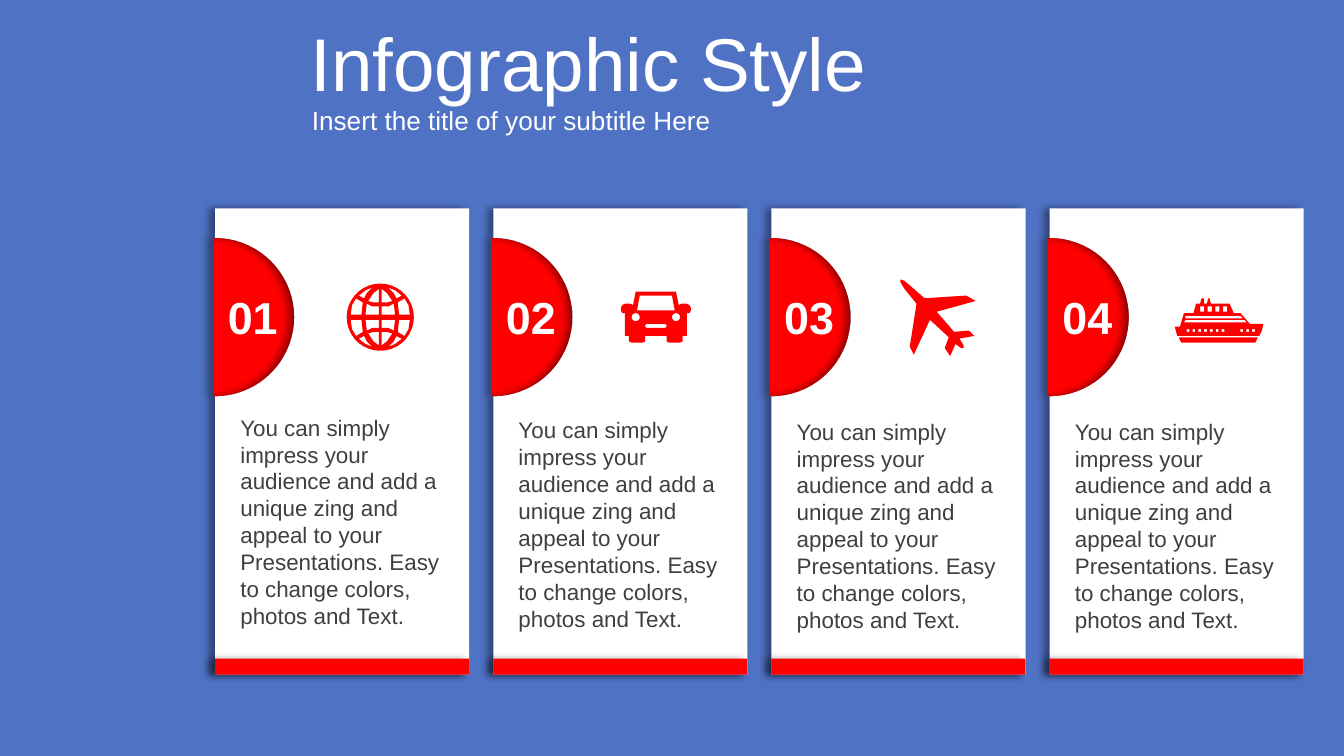
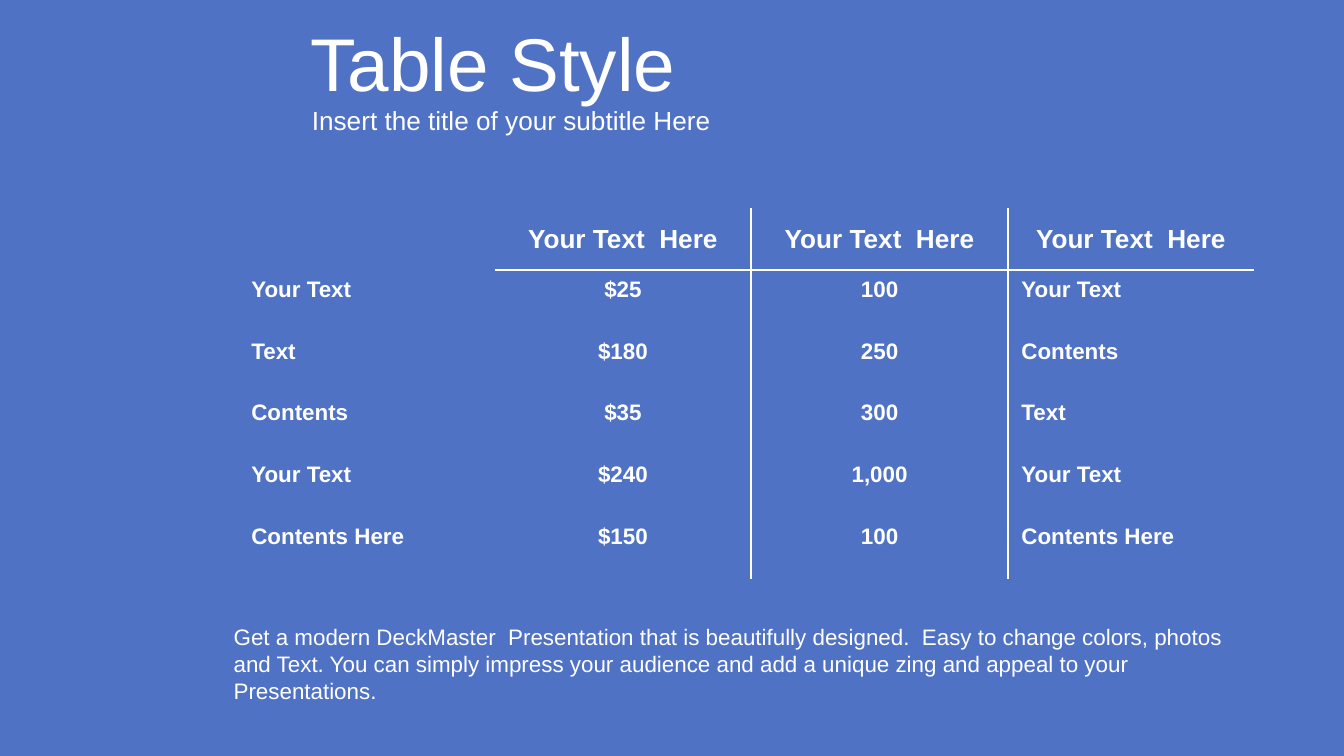
"""Builds two slides: four numbered travel cards and a plain ruled table."""
import math

import pptx
import pptx.dml.color
import pptx.enum.shapes
import pptx.enum.text
import pptx.oxml
import pptx.oxml.ns
import pptx.util

Inches = pptx.util.Inches
Pt = pptx.util.Pt
Align = pptx.enum.text.PP_ALIGN
Anchor = pptx.enum.text.MSO_ANCHOR
Preset = pptx.enum.shapes.MSO_SHAPE

COLORS = {"blue": "5072C4", "red": "FF0000", "white": "FFFFFF", "gray": "3F3F3F", "black": "000000"}
FONT = "Arial"
NO_TABLE_STYLE = "{2D5ABB26-0587-4C30-8999-92F81FD0307C}"
SUBTITLE = "Insert the title of your subtitle Here"
CARD_TEXT = ("You can simply impress your audience and add a unique zing and appeal to your "
             "Presentations. Easy to change colors, photos and Text.")
TABLE_NOTE = ("Get a modern DeckMaster  Presentation that is beautifully designed.  Easy to change "
              "colors, photos and Text. You can simply impress your audience and add a unique zing "
              "and appeal to your Presentations.")
TABLE_ROWS = [
    ["", "Your Text  Here", "Your Text  Here", "Your Text  Here"],
    ["Your Text", "$25", "100", "Your Text"],
    ["Text", "$180", "250", "Contents"],
    ["Contents", "$35", "300", "Text"],
    ["Your Text", "$240", "1,000", "Your Text"],
    ["Contents Here", "$150", "100", "Contents Here"],
]
CARD_LEFT, CARD_TOP, CARD_PITCH = 1.6, 1.55, 2.07
CARD_WIDTH, CARD_HEIGHT, BAR_HEIGHT = 1.89, 3.47, 0.12
DISC_MIDDLE, DISC_RADIUS = 2.36, 0.59
CARD_TEXT_TOPS = [3.03, 3.05, 3.06, 3.06]


def color(name):
    return pptx.dml.color.RGBColor.from_string(COLORS[name])


def write_text(frame, text, size=12, ink="white", bold=False, align=Align.LEFT,
               anchor=Anchor.TOP, margin=0.05):
    frame.word_wrap = True
    frame.auto_size = pptx.enum.text.MSO_AUTO_SIZE.NONE
    frame.vertical_anchor = anchor
    frame.margin_left = frame.margin_right = Inches(0.1)
    frame.margin_top = frame.margin_bottom = Inches(margin)
    write_paragraph(frame.paragraphs[0], text, size, ink, bold, align)


def write_paragraph(para, text, size, ink, bold, align):
    para.alignment = align
    para.space_before = Pt(0)
    span = para.add_run()
    span.text = text
    span.font.name = FONT
    span.font.size = Pt(size)
    span.font.bold = bold
    span.font.color.rgb = color(ink)


def arc(x, y, radius, start=0, end=360, steps=36):
    angles = [math.radians(start + (end - start) * step / steps) for step in range(steps + 1)]
    return [(x + radius * math.cos(angle), y + radius * math.sin(angle)) for angle in angles]


def rectangle(x, y, width, height):
    return [(x, y), (x + width, y), (x + width, y + height), (x, y + height)]


def mirrored(middle, half):
    return [(middle + x, y) for x, y in half] + [(middle - x, y) for x, y in reversed(half)]


def globe():
    x, y = 2.83, 2.36
    cells = [
        [(0.02, 0.01), (0.08, 0.01), (0.08, 0.06), (0.1, 0.1), (0.02, 0.11)],
        [(0.11, 0.01), (0.21, 0.01), (0.18, 0.05), (0.12, 0.09), (0.11, 0.05)],
        [(0.02, 0.14), (0.11, 0.13), (0.14, 0.18), (0.09, 0.21), (0.02, 0.22)],
        [(0.14, 0.12), (0.18, 0.1), (0.22, 0.06), (0.2, 0.11), (0.16, 0.16)],
    ]
    return [arc(x, y, 0.25)] + [
        [(x + across * dx, y + down * dy) for dx, dy in cell]
        for cell in cells for across in (-1, 1) for down in (-1, 1)]


def car():
    middle = 4.88
    body = [(0.15, 2.17), (0.17, 2.27), (0.19, 2.26), (0.23, 2.26), (0.25, 2.27), (0.26, 2.29),
            (0.26, 2.31), (0.25, 2.33), (0.23, 2.33), (0.23, 2.5), (0.2, 2.5), (0.2, 2.54),
            (0.18, 2.55), (0.1, 2.55), (0.08, 2.54), (0.08, 2.5)]
    windscreen = [(0.12, 2.2), (0.14, 2.31)]
    grille = [(0.07, 2.41), (0.08, 2.42), (0.08, 2.43), (0.07, 2.44)]
    lights = [arc(middle + side * 0.15, 2.36, 0.03) for side in (-1, 1)]
    return [mirrored(middle, half) for half in (body, windscreen, grille)] + lights


def plane():
    return [[(7.25, 2.5), (7.14, 2.52), (7.17, 2.57), (7.17, 2.59), (7.15, 2.59), (7.11, 2.56),
             (7.07, 2.65), (7.03, 2.59), (7.06, 2.51), (6.92, 2.38), (6.8, 2.64), (6.77, 2.58),
             (6.82, 2.26), (6.73, 2.15), (6.7, 2.1), (6.7, 2.08), (6.73, 2.09), (6.8, 2.15),
             (6.88, 2.22), (7.19, 2.2), (7.26, 2.24), (6.97, 2.32), (7.1, 2.47), (7.21, 2.46)]]


def ship():
    hull = [(8.99, 2.22), (9, 2.22), (9.01, 2.26), (9.15, 2.26), (9.18, 2.33), (9.23, 2.33),
            (9.3, 2.41), (9.4, 2.41), (9.39, 2.46), (9.37, 2.5), (8.76, 2.5), (8.74, 2.43),
            (8.78, 2.43), (8.81, 2.33), (8.88, 2.33), (8.9, 2.26), (8.93, 2.26), (8.94, 2.22),
            (8.96, 2.22), (8.96, 2.26), (8.98, 2.26)]
    keel = [(8.77, 2.51), (9.36, 2.51), (9.34, 2.55), (8.79, 2.55)]
    decks = [[(8.82, 2.38), (8.81, 2.4), (9.28, 2.4), (9.26, 2.38)],
             [(8.82, 2.35), (8.82, 2.37), (9.25, 2.37), (9.23, 2.35)]]
    cabins = [rectangle(8.93 + 0.17 * place / 3, 2.28, 0.03, 0.04) for place in range(4)]
    portholes = [rectangle(left + 0.13 * place / 3, 2.45, 0.02, 0.02)
                 for left, count in ((8.83, 7), (9.23, 3)) for place in range(count)]
    return [hull, keel] + decks + cabins + portholes


class SlideStyle:
    def __init__(self):
        self.deck = pptx.Presentation()
        self.deck.slide_width = Inches(10)
        self.deck.slide_height = Inches(10) * 9 // 16
        background = self.deck.slide_master.background.fill
        background.solid()
        background.fore_color.rgb = color("blue")
        self.page = self.canvas = None

    def add_page(self, title):
        self.page = self.deck.slides.add_slide(self.deck.slide_layouts[0])
        self.canvas = self.page.shapes
        heading, subtitle = self.page.placeholders
        self.fill_placeholder(heading, title, 40, (2.21, 0.13, 7.79, 0.66))
        self.fill_placeholder(subtitle, SUBTITLE, 14, (2.22, 0.74, 7.76, 0.31))

    def fill_placeholder(self, box, text, size, place):
        box.left, box.top, box.width, box.height = map(Inches, place)
        write_text(box.text_frame, text, size=size, anchor=Anchor.MIDDLE, margin=0.1)

    def start_group(self):
        self.canvas = self.page.shapes.add_group_shape().shapes

    def end_group(self):
        self.canvas = self.page.shapes

    def paint(self, shape, fill, shadow):
        shape.fill.solid()
        shape.fill.fore_color.rgb = color(fill)
        shape.line.fill.background()
        shape.shadow.inherit = False
        if shadow:
            effects = shape._element.spPr.find(pptx.oxml.ns.qn("a:effectLst"))
            effects.append(pptx.oxml.parse_xml(
                f'<a:outerShdw {pptx.oxml.ns.nsdecls("a")} blurRad="{Pt(4)}" dist="{Pt(3)}" '
                f'dir="10800000" algn="r" rotWithShape="0"><a:srgbClr val="{COLORS["black"]}">'
                '<a:alpha val="40000"/></a:srgbClr></a:outerShdw>'))

    def add_preset(self, kind, place, fill):
        shape = self.canvas.add_shape(kind, *map(Inches, place))
        self.paint(shape, fill, True)
        return shape

    def add_outline(self, contours, fill, shadow=False):
        contours = [[(Inches(x), Inches(y)) for x, y in contour] for contour in contours]
        builder = self.canvas.build_freeform(*contours[0][0], scale=1.0)
        builder.add_line_segments(contours[0][1:], close=True)
        for contour in contours[1:]:
            builder.move_to(*contour[0])
            builder.add_line_segments(contour[1:], close=True)
        shape = builder.convert_to_shape()
        self.paint(shape, fill, shadow)
        return shape

    def add_text(self, text, place, **style):
        box = self.canvas.add_textbox(*map(Inches, place))
        write_text(box.text_frame, text, **style)

    def add_card(self, number, left):
        self.start_group()
        disc = self.add_preset(Preset.CHORD, (left - DISC_RADIUS, DISC_MIDDLE - DISC_RADIUS,
                                              2 * DISC_RADIUS, 2 * DISC_RADIUS), "red")
        disc.adjustments[0], disc.adjustments[1] = 161.15, 54.86
        sheet = rectangle(left, CARD_TOP, CARD_WIDTH, CARD_HEIGHT)
        self.add_outline([sheet + arc(left, DISC_MIDDLE, DISC_RADIUS, 90, -90)], "white", True)
        self.add_text(f"{number:02}", (left - 0.06, 2.11, 0.68, 0.5), size=24, bold=True,
                      align=Align.CENTER)
        self.add_preset(Preset.RECTANGLE, (left, CARD_TOP + CARD_HEIGHT - BAR_HEIGHT,
                                           CARD_WIDTH, BAR_HEIGHT), "red")
        self.end_group()

    def add_table(self, rows, left, top, widths, row_height):
        frame = self.canvas.add_table(len(rows), len(widths), Inches(left), Inches(top),
                                      Inches(sum(widths)), Inches(row_height * len(rows)))
        table = frame.table
        table.first_row = table.horz_banding = False
        table._tbl.tblPr.find(pptx.oxml.ns.qn("a:tableStyleId")).text = NO_TABLE_STYLE
        for column, width in zip(table.columns, widths):
            column.width = Inches(width)
        for row, texts in enumerate(rows):
            table.rows[row].height = Inches(row_height)
            for column, text in enumerate(texts):
                self.fill_cell(table.cell(row, column), text, row, column, len(widths) - 1)

    def fill_cell(self, cell, text, row, column, last):
        sides = {"L": column > 1, "R": 0 < column < last, "T": row == 1 and column > 0,
                 "B": row == 0 and column > 0}
        ruling = f'<a:solidFill><a:srgbClr val="{COLORS["white"]}"/></a:solidFill>'
        for side, ruled in sides.items():
            cell._tc.get_or_add_tcPr().append(pptx.oxml.parse_xml(
                f'<a:ln{side} {pptx.oxml.ns.nsdecls("a")} w="{Pt(1.5)}">'
                f'{ruling if ruled else "<a:noFill/>"}</a:ln{side}>'))
        cell.fill.solid()
        cell.fill.fore_color.rgb = color("blue")
        header = row == 0
        cell.vertical_anchor = Anchor.MIDDLE if header else Anchor.TOP
        if text:
            centered = header or 0 < column < last
            write_paragraph(cell.text_frame.paragraphs[0], text, 14 if header else 12, "white",
                            True, Align.CENTER if centered else Align.LEFT)


def main():
    style = SlideStyle()

    style.add_page("Infographic Style")
    lefts = [CARD_LEFT + CARD_PITCH * place for place in range(4)]
    for number, left in enumerate(lefts, 1):
        style.add_card(number, left)
    icons = [style.add_outline(icon(), "red") for icon in (globe, car, plane, ship)]
    icons[0].rotation = 270
    for left, top in zip(lefts, CARD_TEXT_TOPS):
        style.add_text(CARD_TEXT, (left + 0.09, top, 1.73, 1.72), ink="gray")

    style.add_page("Table Style")
    style.add_table(TABLE_ROWS, 1.77, 1.55, [1.91, 1.91, 1.91, 1.83], 0.46)
    style.add_text(TABLE_NOTE, (1.64, 4.59, 7.84, 0.5))

    style.deck.save("out.pptx")


if __name__ == "__main__":
    main()
